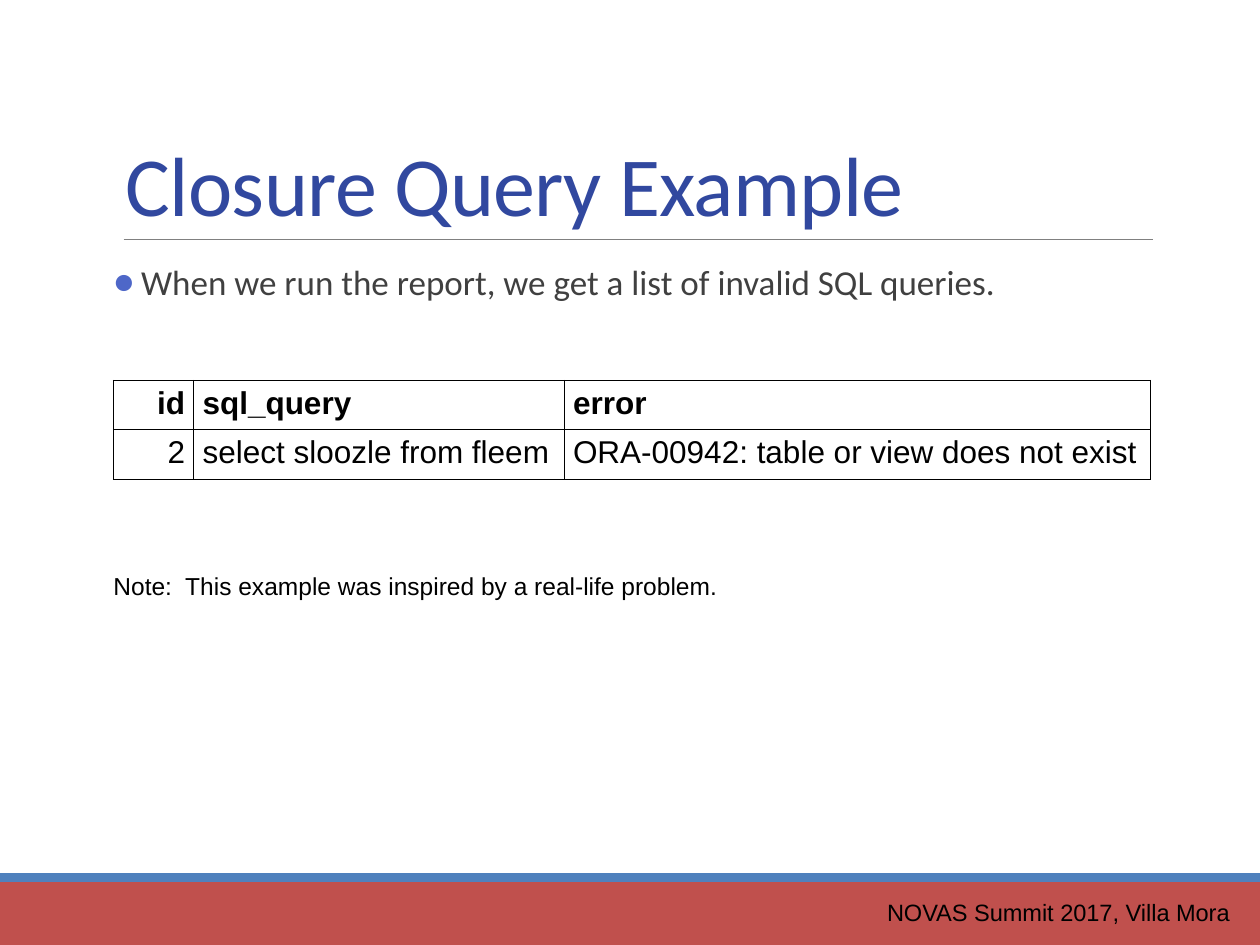
from lxml import etree
from pptx import Presentation
from pptx.dml.color import RGBColor
from pptx.enum import shapes, text
from pptx.oxml import ns
from pptx.util import Pt

RED = RGBColor(0xC0, 0x50, 0x4D)
BLUE = RGBColor(0x4F, 0x81, 0xBD)
GRAY = RGBColor(0x80, 0x80, 0x80)
TITLE_BLUE = RGBColor(0x31, 0x48, 0x9F)
BULLET_BLUE = RGBColor(0x4E, 0x67, 0xC8)
DARK = RGBColor(0x40, 0x40, 0x40)
BLACK = RGBColor(0, 0, 0)
WHITE = RGBColor(255, 255, 255)

WIDTH, HEIGHT = 720, 540
LEFT = 64.8
ROWS = [
    ("id", "sql_query", "error"),
    ("2", "select sloozle from fleem", "ORA-00942: table or view does not exist"),
]


def add_child(parent, tag, **attributes):
    return etree.SubElement(parent, ns.qn(tag), **attributes)


def style(para, size, color, name="Arial", bold=False, align=text.PP_ALIGN.LEFT):
    para.font.size = Pt(size)
    para.font.name = name
    para.font.bold = bold
    para.font.color.rgb = color
    para.alignment = align


def add_text_box(page, box, anchor=text.MSO_ANCHOR.TOP, side_margin=7.2):
    frame = page.shapes.add_textbox(*map(Pt, box)).text_frame
    frame.word_wrap = True
    frame.vertical_anchor = anchor
    frame.margin_left = frame.margin_right = Pt(side_margin)
    return frame


def add_bar(page, box, color):
    bar = page.shapes.add_shape(shapes.MSO_SHAPE.RECTANGLE, *map(Pt, box))
    bar.shadow.inherit = False
    bar.fill.solid()
    bar.fill.fore_color.rgb = color
    bar.line.fill.background()


def add_footer(page, box):
    left, top, width, height = box
    stripe = 5
    add_bar(page, (left, top + stripe, width, height - stripe), RED)
    add_bar(page, (left, top, width, stripe), BLUE)
    frame = add_text_box(page, (left + width - 234.7, top + 10.8, 224.6, 23))
    para = frame.paragraphs[0]
    para.text = "NOVAS Summit 2017, Villa Mora"
    style(para, 13.5, BLACK, align=text.PP_ALIGN.RIGHT)


def add_title(page, box):
    left, top, width, height = box
    bottom = top + height
    rule = page.shapes.add_connector(
        shapes.MSO_CONNECTOR.STRAIGHT,
        Pt(left + 5.8), Pt(bottom), Pt(left + width), Pt(bottom))
    rule.line.color.rgb = GRAY
    rule.line.width = Pt(0.5)
    add_child(rule._element.spPr, "a:effectLst")

    para = add_text_box(page, box, text.MSO_ANCHOR.BOTTOM).paragraphs[0]
    span = para.add_run()
    span.text = "Closure Query Example"
    style(para, 48, TITLE_BLUE, "Calibri")
    para.line_spacing = 0.85
    span._r.get_or_add_rPr().set("spc", "-40")


def add_bullet(para, indent):
    properties = para._p.get_or_add_pPr()
    properties.set("marL", str(Pt(indent)))
    properties.set("indent", str(-Pt(indent)))
    color = add_child(properties, "a:buClr")
    add_child(color, "a:srgbClr", val=str(BULLET_BLUE))
    add_child(properties, "a:buFont", typeface="Calibri")
    add_child(properties, "a:buChar", char="●")
    # The schema wants the default run properties after the bullet.
    properties.append(properties.find(ns.qn("a:defRPr")))


def add_body(page, box):
    frame = add_text_box(page, box, side_margin=0)
    point = frame.paragraphs[0]
    point.text = "When we run the report, we get a list of invalid SQL queries."
    style(point, 20, DARK, "Calibri")
    add_bullet(point, 15.8)

    note = frame.add_paragraph()
    note.text = "Note:  This example was inspired by a real-life problem."
    style(note, 14, BLACK)
    note.line_spacing = 0.9
    note.space_before = Pt(155)


def outline_cell(cell):
    properties = cell._tc.get_or_add_tcPr()
    for index, side in enumerate(("a:lnL", "a:lnR", "a:lnT", "a:lnB")):
        border = etree.Element(ns.qn(side), w=str(Pt(0.57)))
        fill = add_child(border, "a:solidFill")
        add_child(fill, "a:srgbClr", val=str(BLACK))
        properties.insert(index, border)


def add_query_table(page, box):
    table = page.shapes.add_table(len(ROWS), len(ROWS[0]), *map(Pt, box)).table
    for column, width in zip(table.columns, (46, 211.7, box[2] - 257.7)):
        column.width = Pt(width)
    for r, row in enumerate(ROWS):
        for c, value in enumerate(row):
            cell = table.cell(r, c)
            cell.fill.solid()
            cell.fill.fore_color.rgb = WHITE
            cell.margin_left = cell.margin_right = Pt(5)
            cell.margin_top = cell.margin_bottom = Pt(3.3)
            para = cell.text_frame.paragraphs[0]
            para.text = value
            align = text.PP_ALIGN.RIGHT if c == 0 else text.PP_ALIGN.LEFT
            style(para, 18, BLACK, bold=r == 0, align=align)
            outline_cell(cell)


def main():
    deck = Presentation()
    deck.slide_width, deck.slide_height = Pt(WIDTH), Pt(HEIGHT)
    page = deck.slides.add_slide(deck.slide_layouts[6])
    add_footer(page, (0, 499, WIDTH, HEIGHT - 499))
    add_title(page, (LEFT, 22.3, 594, 114.5))
    add_body(page, (LEFT, 145.4, 594, 316.8))
    add_query_table(page, (LEFT, 217.3, 592.5, 54.8))
    deck.save("out.pptx")


if __name__ == "__main__":
    main()
